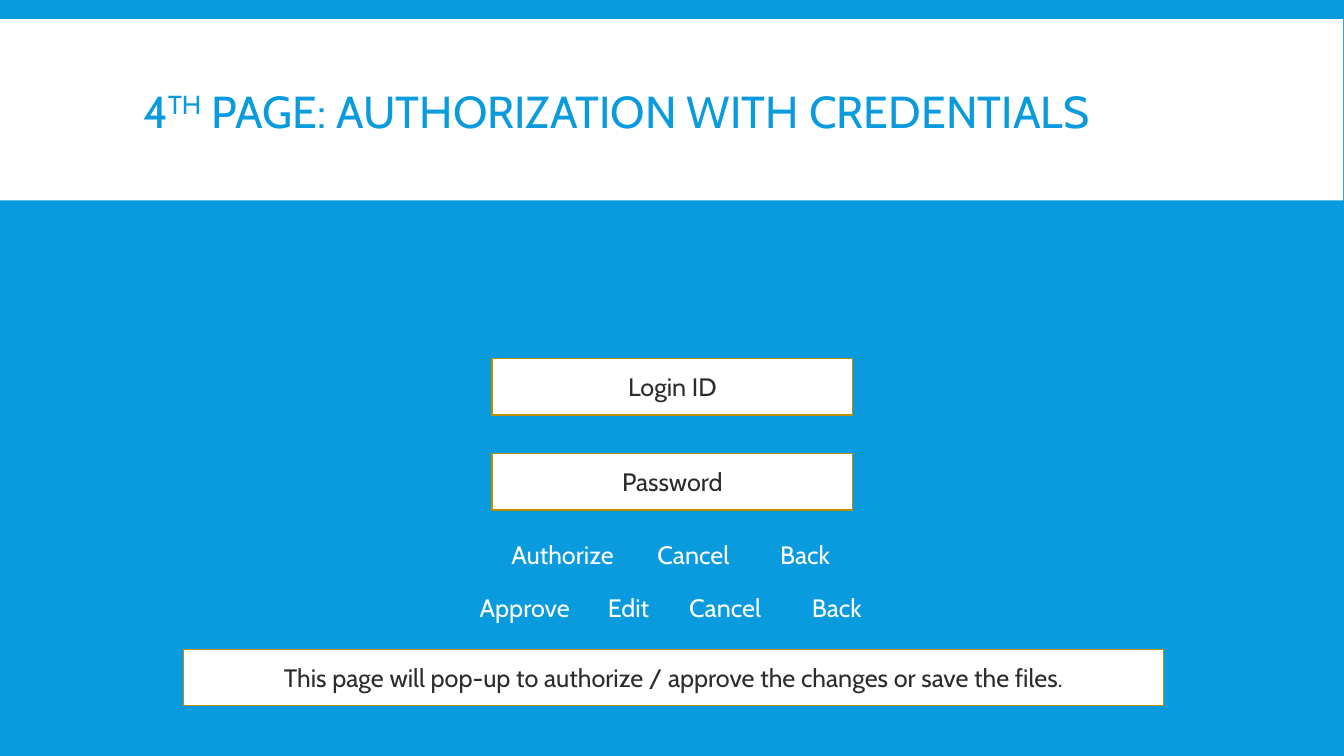
from dataclasses import dataclass

from lxml import etree
from pptx import Presentation
from pptx.dml.color import RGBColor
from pptx.enum.shapes import MSO_SHAPE
from pptx.enum.text import MSO_ANCHOR, MSO_AUTO_SIZE, PP_ALIGN
from pptx.oxml.ns import qn
from pptx.util import Cm, Pt

RECTANGLE = MSO_SHAPE.RECTANGLE
MIDDLE = MSO_ANCHOR.MIDDLE
LEFT, CENTER = PP_ALIGN.LEFT, PP_ALIGN.CENTER
NO_AUTOFIT = MSO_AUTO_SIZE.NONE
TITLE_ONLY = 5


@dataclass(frozen=True)
class Theme:
    blue: RGBColor = RGBColor(0x09, 0x9B, 0xDD)
    white: RGBColor = RGBColor(0xFF, 0xFF, 0xFF)
    gold: RGBColor = RGBColor(0xBD, 0x8E, 0x00)
    ink: RGBColor = RGBColor(0x2C, 0x2C, 0x2C)
    font: str = "Cabin"
    title_size: Pt = Pt(32)
    body_size: Pt = Pt(18)
    outline: Pt = Pt(1)


THEME = Theme()


def add_span(para, text, size, color):
    span = para.add_run()
    span.text = text
    span.font.name = THEME.font
    span.font.size = size
    span.font.color.rgb = color
    return span


def add_panel(page, left, top, width, height):
    panel = page.shapes.add_shape(RECTANGLE, Cm(left), Cm(top), Cm(width), Cm(height))
    panel.shadow.inherit = False
    panel.fill.solid()
    panel.fill.fore_color.rgb = THEME.white
    panel.line.fill.background()
    return panel


def add_label_box(page, text, left, top, width, height):
    box = add_panel(page, left, top, width, height)
    box.line.color.rgb = THEME.gold
    box.line.width = THEME.outline
    box.text_frame.word_wrap = True
    box.text_frame.vertical_anchor = MIDDLE
    para = box.text_frame.paragraphs[0]
    para.alignment = CENTER
    add_span(para, text, THEME.body_size, THEME.ink)


def add_header(page, left, top, width, height):
    """White band with the title set inside it."""
    band = add_panel(page, left, top, width, height)
    title = page.shapes.title
    title._element.addprevious(band._element)  # the band lies behind the title
    title.left, title.top = Cm(left + 3.35), Cm(top + 0.31)
    title.width, title.height = Cm(27.18), Cm(4.19)
    frame = title.text_frame
    frame.word_wrap = True
    frame.auto_size = NO_AUTOFIT
    frame.vertical_anchor = MIDDLE
    para = frame.paragraphs[0]
    para.alignment = LEFT
    para.line_spacing = 0.85
    add_span(para, "4", THEME.title_size, THEME.blue)
    ordinal = add_span(para, "TH", THEME.title_size, THEME.blue)
    ordinal._r.get_or_add_rPr().set("baseline", "30000")
    add_span(para, " PAGE: AUTHORIZATION WITH CREDENTIALS", THEME.title_size, THEME.blue)


def add_login_fields(page, left, top, width, height):
    """Two equal entry fields, one above the other."""
    field_height = 1.42
    pitch = height - field_height
    for index, label in enumerate(("Login ID", "Password")):
        add_label_box(page, label, left, top + index * pitch, width, field_height)


def add_action_row(page, actions, left, top, width, height):
    """One line of commands; each word comes with its offset from the left."""
    box = page.shapes.add_textbox(Cm(left), Cm(top), Cm(width), Cm(height))
    frame = box.text_frame
    frame.word_wrap = True
    start = actions[0][1]
    frame.margin_left = Cm(start)
    para = frame.paragraphs[0]
    para.alignment = LEFT
    stops = etree.SubElement(para._p.get_or_add_pPr(), qn("a:tabLst"))
    for _, offset in actions[1:]:
        etree.SubElement(stops, qn("a:tab"), pos=str(Cm(offset - start)), algn="l")
    for index, (word, _) in enumerate(actions):
        add_span(para, "\t" + word if index else word, THEME.body_size, THEME.white)


def add_actions(page, left, top, width):
    rows = (
        (("Authorize", 4.43), ("Cancel", 8.11), ("Back", 11.2)),
        (("Approve", 3.63), ("Edit", 6.86), ("Cancel", 8.91), ("Back", 12)),
    )
    for index, actions in enumerate(rows):
        add_action_row(page, actions, left, top + index * 1.35, width, 1.02)


def build_authorization_page(deck):
    page = deck.slides.add_slide(deck.slide_layouts[TITLE_ONLY])
    page.background.fill.solid()
    page.background.fill.fore_color.rgb = THEME.blue
    add_header(page, 0, 0.48, 33.85, 4.57)
    add_login_fields(page, 12.4, 9.04, 9.09, 3.81)
    add_actions(page, 8.46, 13.46, 16.94)
    # Explanatory note
    add_label_box(
        page,
        "This page will pop-up to authorize / approve the changes or save the files.",
        4.62, 16.36, 24.71, 1.42,
    )


def main():
    deck = Presentation()
    deck.slide_width, deck.slide_height = Cm(33.87), Cm(19.05)
    build_authorization_page(deck)
    deck.save("out.pptx")


if __name__ == "__main__":
    main()
